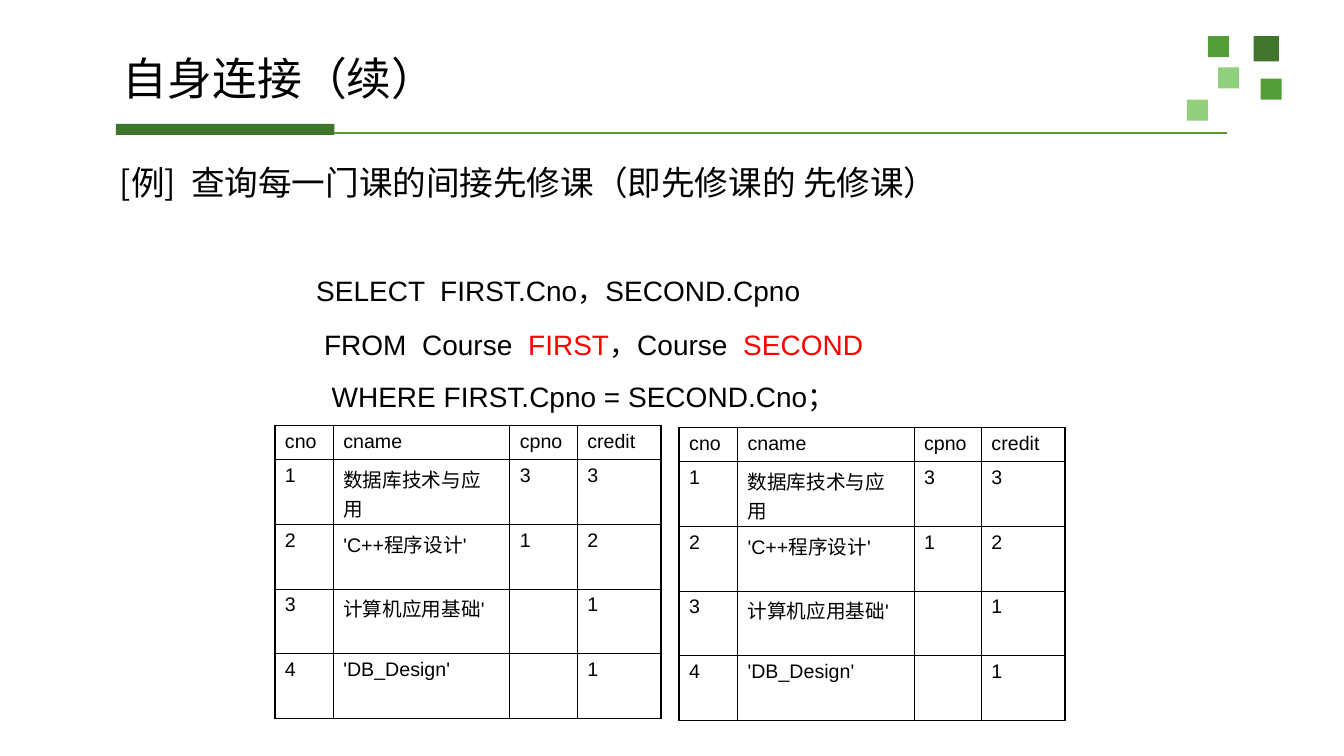
"""Build the slide on joining a table with itself, with an SQL query and two course tables."""
import dataclasses
import typing

import lxml.etree
import pptx
import pptx.dml.color
import pptx.enum.shapes
import pptx.enum.text
import pptx.oxml.ns
import pptx.shapes.autoshape
import pptx.slide
import pptx.table
import pptx.util

Cm = pptx.util.Cm
Pt = pptx.util.Pt
qn = pptx.oxml.ns.qn

COLOURS = {
    "dark": "3F762B",
    "green": "549E39",
    "light": "93D07D",
    "black": "000000",
    "red": "FF0000",
}
CHINESE_FONT = "Noto Sans CJK SC"
LATIN_FONT = "Arial"
COLUMN_WIDTHS = (1.47, 4.45, 1.7, 2.11)
ROW_HEIGHTS = (0.86, 1.63, 1.63, 1.63, 1.63)
COURSES = (
    ("cno", "cname", "cpno", "credit"),
    ("1", "数据库技术与应用", "3", "3"),
    ("2", "'C++程序设计'", "1", "2"),
    ("3", "计算机应用基础'", "", "1"),
    ("4", "'DB_Design'", "", "1"),
)
TABLE_CORNERS = ((6.93, 10.72), (17.12, 10.77))
OUTER_BORDER, INNER_BORDER = 1.08, 0.45


@dataclasses.dataclass(frozen=True)
class Block:
    left: float
    top: float
    width: float
    height: float
    colour: str


@dataclasses.dataclass(frozen=True)
class Span:
    text: str
    colour: str = "black"


@dataclasses.dataclass(frozen=True)
class Para:
    spans: tuple[Span, ...]
    line_spacing: float = 1.0
    space_before: float = 0
    indent: float = 0


@dataclasses.dataclass(frozen=True)
class TextArea:
    left: float
    top: float
    width: float
    height: float
    font: str
    size: float
    paras: tuple[Para, ...]
    inset: tuple[float, float] = (0.2, 0.1)
    anchor: pptx.enum.text.MSO_ANCHOR = pptx.enum.text.MSO_ANCHOR.TOP


BLOCKS = (
    Block(31.6, 0.91, 0.64, 0.64, "dark"),
    Block(30.45, 0.91, 0.53, 0.53, "green"),
    Block(31.78, 1.98, 0.53, 0.53, "green"),
    Block(30.71, 1.7, 0.53, 0.53, "light"),
    Block(29.92, 2.51, 0.53, 0.53, "light"),
    Block(2.92, 3.12, 5.51, 0.28, "dark"),
)
TEXT_AREAS = (
    TextArea(2.9, 0.89, 28.65, 2.31, CHINESE_FONT, 32,
             (Para((Span("自身连接（续）"),), 0.9),),
             anchor=pptx.enum.text.MSO_ANCHOR.MIDDLE),
    TextArea(2.82, 4.17, 28.73, 13.67, CHINESE_FONT, 24,
             (Para((Span("[例]  查询每一门课的间接先修课（即先修课的 先修课）"),), 0.8, 10),)),
    TextArea(7.72, 6.93, 19.48, 5.21, LATIN_FONT, 20, (
        Para((Span("SELECT  FIRST.Cno，SECOND.Cpno"),), 0.8, 5),
        Para((Span("FROM  Course  "), Span("FIRST", "red"),
              Span("，Course  "), Span("SECOND", "red")), 1.4, 5, 0.2),
        Para((Span("WHERE FIRST.Cpno = SECOND.Cno；"),), 1.4, 3.7, 0.39),
    ), inset=(0.25, 0.13)),
)


def set_values(target: typing.Any, values: dict[str, typing.Any]) -> None:
    for name, value in values.items():
        setattr(target, name, value)


def rgb(colour: str) -> pptx.dml.color.RGBColor:
    return pptx.dml.color.RGBColor.from_string(COLOURS[colour])


def add_span(para: typing.Any, span: Span, font: str, size: float) -> None:
    run = para.add_run()
    run.text = span.text
    set_values(run.font, {"name": font, "size": Pt(size)})
    run.font.color.rgb = rgb(span.colour)
    east_asian = lxml.etree.SubElement(run.font._element, qn("a:ea"))
    east_asian.set("typeface", CHINESE_FONT)


def add_block(page: pptx.slide.Slide, block: Block) -> None:
    shape = page.shapes.add_shape(
        pptx.enum.shapes.MSO_SHAPE.RECTANGLE,
        Cm(block.left), Cm(block.top), Cm(block.width), Cm(block.height))
    shape.shadow.inherit = False
    shape.fill.solid()
    shape.fill.fore_color.rgb = rgb(block.colour)
    shape.line.fill.background()


def add_title_rule(page: pptx.slide.Slide) -> None:
    rule = page.shapes.add_connector(
        pptx.enum.shapes.MSO_CONNECTOR.STRAIGHT, Cm(8.43), Cm(3.35), Cm(30.94), Cm(3.35))
    rule.line.color.rgb = rgb("green")
    rule.line.width = Pt(2)
    lxml.etree.SubElement(rule._element.spPr, qn("a:effectLst"))


def add_text_area(page: pptx.slide.Slide, area: TextArea) -> None:
    box = page.shapes.add_textbox(
        Cm(area.left), Cm(area.top), Cm(area.width), Cm(area.height))
    across, down = map(Cm, area.inset)
    set_values(box.text_frame, {
        "word_wrap": True, "vertical_anchor": area.anchor,
        "margin_left": across, "margin_right": across,
        "margin_top": down, "margin_bottom": down,
    })
    for index, entry in enumerate(area.paras):
        para = box.text_frame.add_paragraph() if index else box.text_frame.paragraphs[0]
        set_values(para, {"line_spacing": entry.line_spacing,
                          "space_before": Pt(entry.space_before)})
        para._p.get_or_add_pPr().set("marL", str(Cm(entry.indent)))
        for span in entry.spans:
            add_span(para, span, area.font, area.size)


def add_borders(cell: pptx.table._Cell, outer_edges: dict[str, bool]) -> None:
    properties = cell._tc.get_or_add_tcPr()
    for edge, is_outer in outer_edges.items():
        width = OUTER_BORDER if is_outer else INNER_BORDER
        border = lxml.etree.SubElement(properties, qn(f"a:ln{edge}"), w=str(Pt(width)))
        fill = lxml.etree.SubElement(border, qn("a:solidFill"))
        lxml.etree.SubElement(fill, qn("a:srgbClr"), val=COLOURS["black"])


def add_course_table(page: pptx.slide.Slide, left: float, top: float) -> None:
    last_row, last_column = len(ROW_HEIGHTS) - 1, len(COLUMN_WIDTHS) - 1
    table = page.shapes.add_table(
        len(ROW_HEIGHTS), len(COLUMN_WIDTHS), Cm(left), Cm(top),
        Cm(sum(COLUMN_WIDTHS)), Cm(sum(ROW_HEIGHTS))).table
    set_values(table, {"first_row": False, "horz_banding": False})
    for column, width in zip(table.columns, COLUMN_WIDTHS):
        column.width = Cm(width)
    for row, height in zip(table.rows, ROW_HEIGHTS):
        row.height = Cm(height)
    for row_index, course in enumerate(COURSES):
        for column_index, text in enumerate(course):
            cell = table.cell(row_index, column_index)
            add_borders(cell, {
                "L": column_index == 0, "R": column_index == last_column,
                "T": row_index == 0, "B": row_index == last_row,
            })
            cell.fill.background()
            if text:
                para = cell.text_frame.paragraphs[0]
                para.space_before = Pt(3.5)
                add_span(para, Span(text), LATIN_FONT, 14)


def main() -> None:
    deck = pptx.Presentation()
    set_values(deck, {"slide_width": Cm(33.88), "slide_height": Cm(19.05)})
    page = deck.slides.add_slide(deck.slide_layouts[6])
    for block in BLOCKS:
        add_block(page, block)
    add_title_rule(page)
    for area in TEXT_AREAS:
        add_text_area(page, area)
    for left, top in TABLE_CORNERS:
        add_course_table(page, left, top)
    deck.save("out.pptx")


if __name__ == "__main__":
    main()
